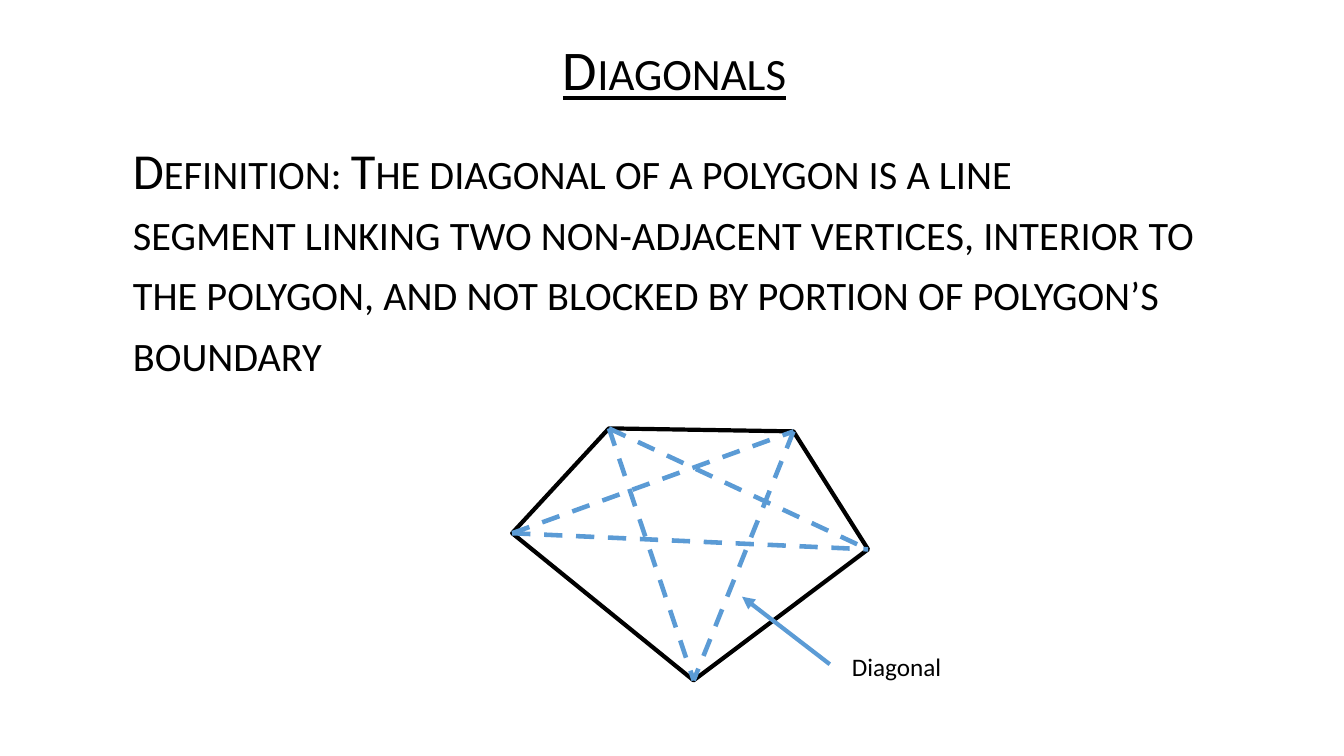
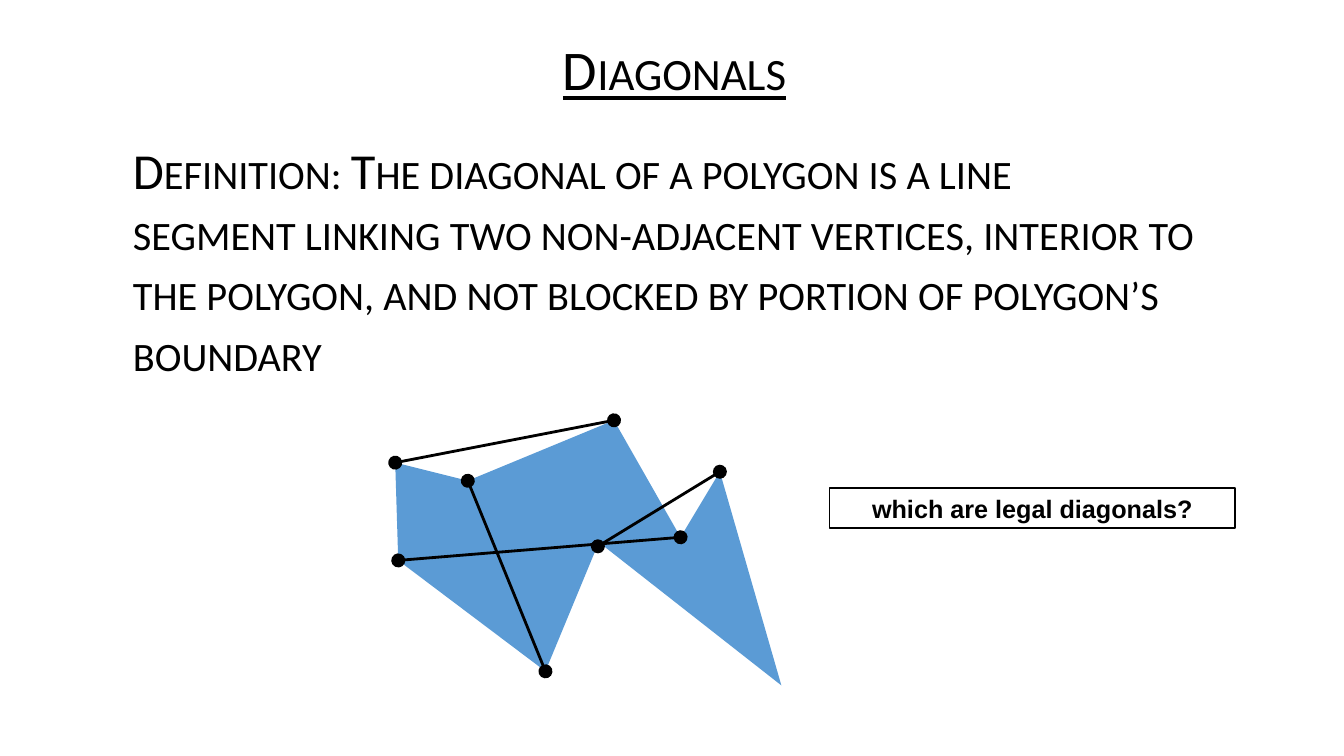
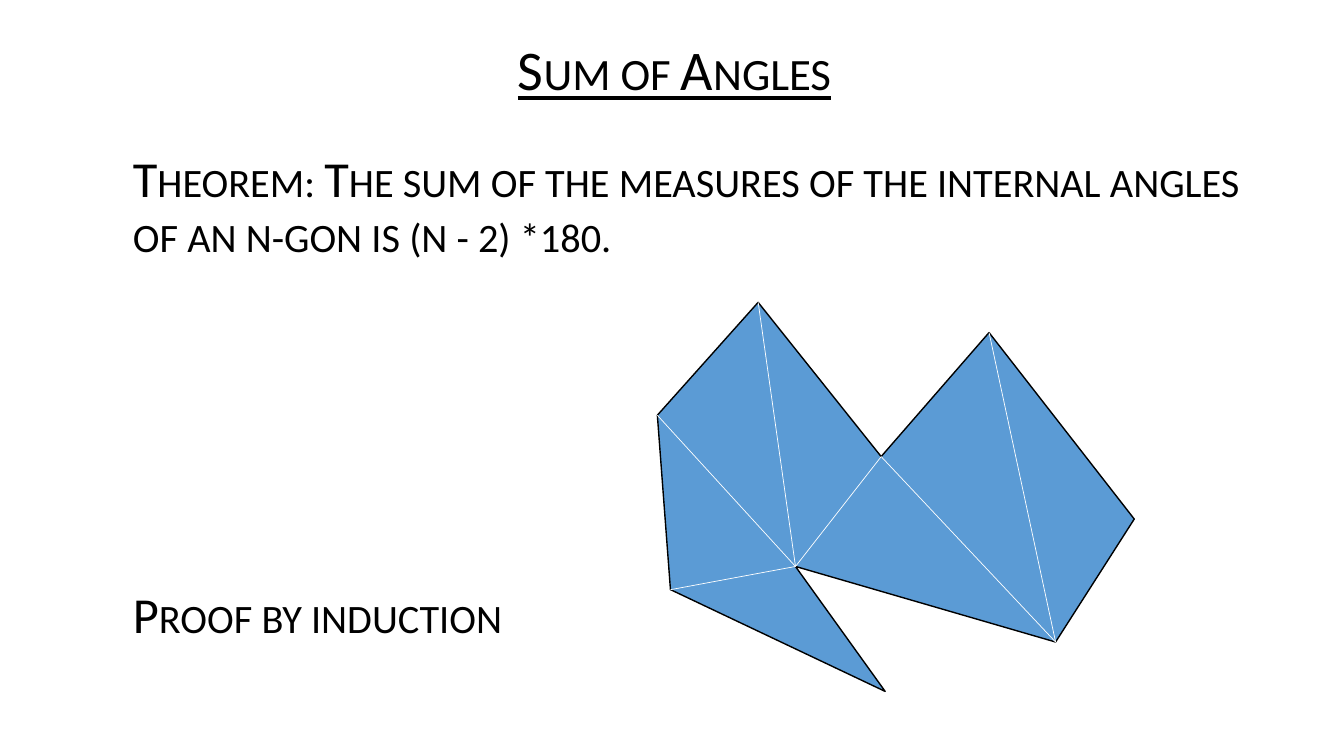
"""Build three slides on polygon diagonals and the sum of angles."""
from lxml import etree
from pptx import Presentation
from pptx.dml.color import RGBColor
from pptx.enum.dml import MSO_LINE
from pptx.enum.shapes import MSO_CONNECTOR, MSO_SHAPE
from pptx.enum.text import MSO_ANCHOR, MSO_AUTO_SIZE, PP_ALIGN
from pptx.oxml.ns import qn
from pptx.util import Inches, Pt

STRAIGHT = MSO_CONNECTOR.STRAIGHT
RECTANGLE = MSO_SHAPE.RECTANGLE
DASH = MSO_LINE.DASH
MIDDLE = MSO_ANCHOR.MIDDLE
CENTER = PP_ALIGN.CENTER
NO_AUTOFIT = MSO_AUTO_SIZE.NONE

COLORS = {
    name: RGBColor.from_string(value)
    for name, value in {"ink": "000000", "blue": "5B9BD5", "white": "FFFFFF"}.items()
}

NO_BREAK_SPACE = chr(160)
DEFINITION = NO_BREAK_SPACE.join([
    "Definition: The diagonal of a polygon is a line segment",
    "linking two non-adjacent vertices, interior to the polygon, and not "
    "blocked by portion of polygon’s boundary",
])
THEOREM = (
    "Theorem: The sum of the measures of the internal angles of an n-gon "
    "is (n - 2) *180."
)
CONTENTS = [
    ("Diagonals", [DEFINITION], 2.53, 1.0),
    ("Diagonals", [DEFINITION], 2.53, 1.0),
    ("Sum of Angles", [THEOREM, "Proof by induction"], 5.28, 0.9),
]
PROOF_GAP = Pt(233)


def add_polygon(shapes, points, fill=None, line_width=None):
    """Draw a closed polygon through points given in inches."""
    corners = [(Inches(x), Inches(y)) for x, y in points]
    builder = shapes.build_freeform(*corners[0])
    builder.add_line_segments(corners[1:], close=True)
    polygon = builder.convert_to_shape()
    polygon.shadow.inherit = False
    if fill:
        polygon.fill.solid()
        polygon.fill.fore_color.rgb = COLORS[fill]
    else:
        polygon.fill.background()
    if line_width:
        polygon.line.color.rgb = COLORS["ink"]
        polygon.line.width = Pt(line_width)
    else:
        polygon.line.fill.background()


def add_line(shapes, start, end, color, width, dash=None, ends=()):
    """Draw a straight line; ends lists (tag, type, size) of its line ends."""
    line = shapes.add_connector(STRAIGHT, *[Inches(value) for value in start + end])
    line.line.color.rgb = COLORS[color]
    line.line.width = Pt(width)
    if dash:
        line.line.dash_style = dash
    properties = line._element.spPr
    outline = properties.find(qn("a:ln"))
    for tag, kind, size in ends:
        etree.SubElement(outline, qn(tag), type=kind, w=size, len=size)
    etree.SubElement(properties, qn("a:effectLst"))


presentation = Presentation()
presentation.slide_width = Inches(13.33)
presentation.slide_height = Inches(7.5)

slides = []
for heading, statements, body_height, spacing in CONTENTS:
    slide = presentation.slides.add_slide(presentation.slide_layouts[5])
    slides.append(slide)

    title = slide.shapes.title
    title.left, title.top = Inches(1.77), Inches(0.29)
    title.width, title.height = Inches(9.84), Inches(0.85)
    title.text_frame.text = heading
    title_paragraph = title.text_frame.paragraphs[0]
    title_paragraph.alignment = CENTER
    title_paragraph.line_spacing = 0.9
    title_paragraph.space_before = Pt(10)
    title_paragraph.runs[0].font.underline = True

    body = slide.shapes.add_textbox(
        Inches(0.72), Inches(1.32), Inches(11.89), Inches(body_height)
    )
    body.text_frame.text = "\n".join(statements)
    for paragraph in body.text_frame.paragraphs:
        paragraph.line_spacing = spacing
        paragraph._p.get_or_add_pPr().set("marL", str(Inches(0.5)))
    for paragraph in body.text_frame.paragraphs[1:]:
        paragraph.space_before = PROOF_GAP

    for shape, size in ((title, 40), (body, 36)):
        text_frame = shape.text_frame
        text_frame.word_wrap = True
        text_frame.auto_size = NO_AUTOFIT
        text_frame.vertical_anchor = MIDDLE
        for paragraph in text_frame.paragraphs:
            font = paragraph.runs[0].font
            font.name = "Calibri"
            font.size = Pt(size)
            font.color.rgb = COLORS["ink"]
            font._element.set("cap", "small")

pentagon_slide, quiz_slide, angles_slide = slides

pentagon = [(6.04, 4.25), (5.08, 5.29), (6.88, 6.75), (8.61, 5.45), (7.87, 4.28)]
add_polygon(pentagon_slide.shapes, pentagon, line_width=3)
for first, second in ((4, 2), (1, 3), (0, 3), (0, 2), (1, 4)):
    add_line(
        pentagon_slide.shapes, pentagon[first], pentagon[second], "blue", 3.25, DASH
    )
add_line(
    pentagon_slide.shapes, (8.23, 6.59), (7.36, 5.92), "blue", 3,
    ends=[("a:tailEnd", "triangle", "med")],
)
label = pentagon_slide.shapes.add_textbox(
    Inches(8.35), Inches(6.41), Inches(1.1), Inches(0.4)
)
label.text_frame.text = "Diagonal"
label.text_frame.word_wrap = False
label_font = label.text_frame.paragraphs[0].runs[0].font
label_font.name = "Calibri"
label_font.size = Pt(18)
label_font.color.rgb = COLORS["ink"]

question = quiz_slide.shapes.add_shape(
    RECTANGLE, Inches(8.23), Inches(4.84), Inches(4.02), Inches(0.4)
)
question.shadow.inherit = False
question.fill.background()
question.line.color.rgb = COLORS["ink"]
question.line.width = Pt(1)
question.text_frame.text = "which are legal diagonals?"
question.text_frame.word_wrap = True
question_paragraph = question.text_frame.paragraphs[0]
question_paragraph.alignment = CENTER
question_font = question_paragraph.runs[0].font
question_font.name = "Arial"
question_font.size = Pt(18)
question_font.bold = True
question_font.color.rgb = COLORS["ink"]

quiz_polygon = [
    (3.92, 4.59), (3.95, 5.56), (5.41, 6.66), (5.94, 5.38), (7.75, 6.8),
    (7.14, 4.68), (6.75, 5.33), (6.09, 4.17), (4.64, 4.77),
]
candidates = [
    ((7.14, 4.68), (5.93, 5.42)),
    ((4.64, 4.77), (5.41, 6.66)),
    ((6.09, 4.17), (3.92, 4.59)),
    ((3.95, 5.56), (6.75, 5.33)),
]
dots = [("a:headEnd", "oval", "lg"), ("a:tailEnd", "oval", "lg")]
quiz_group = quiz_slide.shapes.add_group_shape()
add_polygon(quiz_group.shapes, quiz_polygon, fill="blue")
for start, end in candidates:
    add_line(quiz_group.shapes, start, end, "ink", 2, ends=dots)

angles_polygon = [
    (6.52, 4.12), (6.65, 5.85), (8.78, 6.86), (7.89, 5.62), (10.47, 6.37),
    (11.25, 5.15), (9.81, 3.3), (8.74, 4.53), (7.52, 3),
]
add_polygon(angles_slide.shapes, angles_polygon, fill="blue", line_width=1)
for first, second in ((3, 1), (3, 0), (3, 8), (3, 7), (4, 6), (4, 7)):
    add_line(
        angles_slide.shapes, angles_polygon[first], angles_polygon[second], "white", 0.5
    )

presentation.save("out.pptx")
